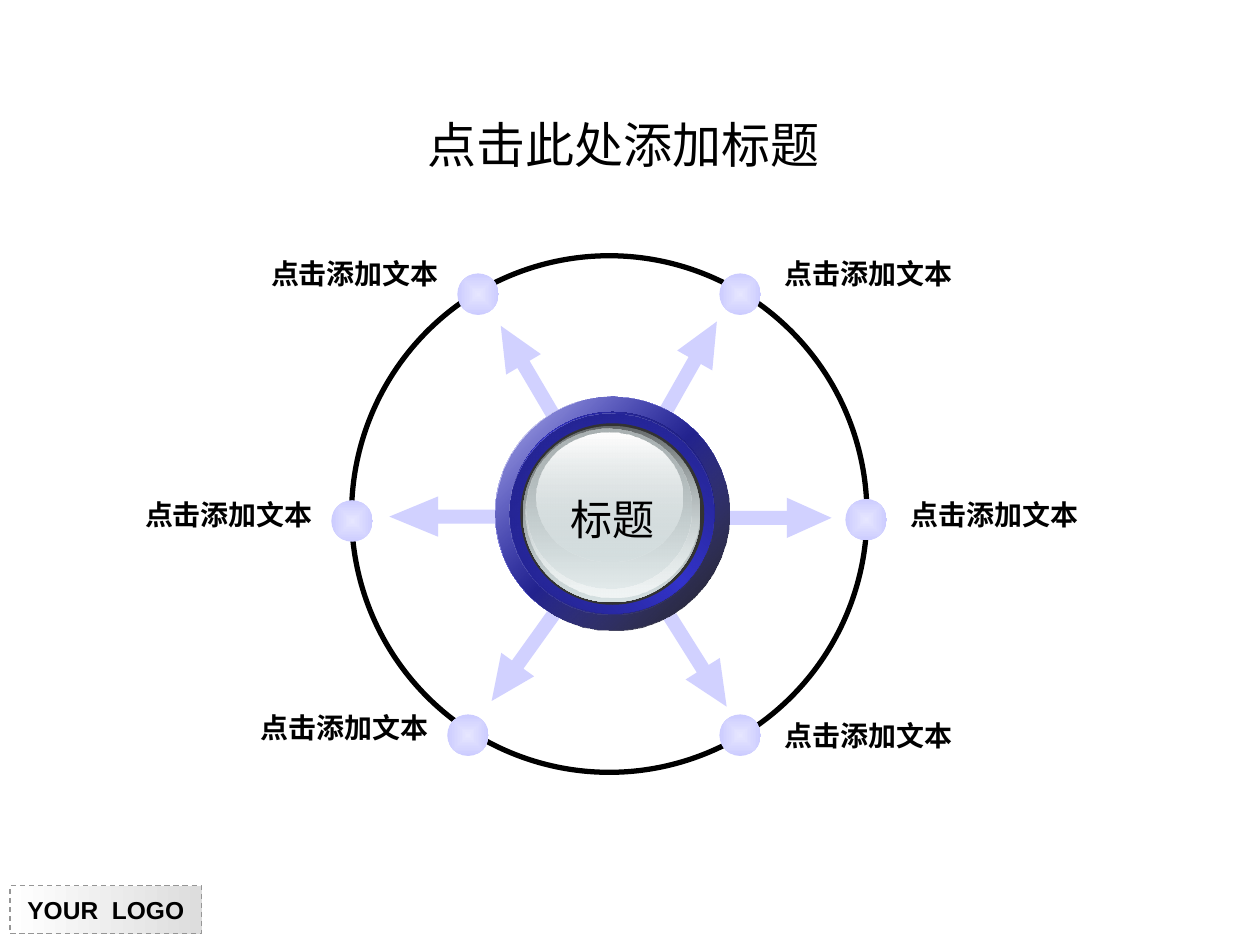
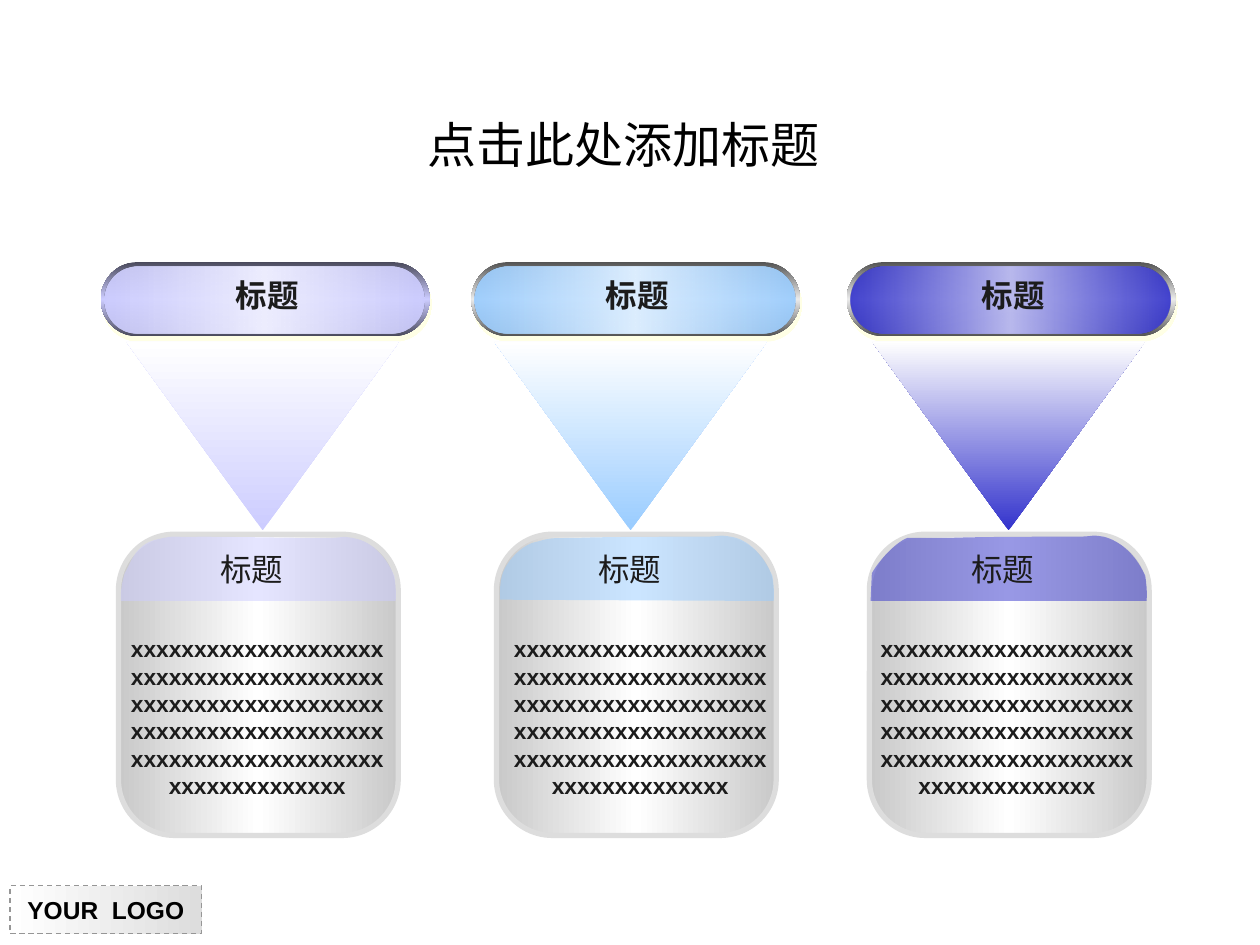
from lxml import etree
from pptx import Presentation
from pptx import util as u
from pptx.dml import color
from pptx.enum import dml, shapes, text
from pptx.oxml import ns

COLOURS = {
    "white": "FFFFFF", "black": "000000", "ink": "1C1C1C", "dash": "969696",
    "silver": "DDDDDD", "steel": "C9C9C9", "glow": "FFFFCC",
    "lilac": "CCCCFF", "lilac_dot": "E6E6FF", "lilac_light": "EEEEFF", "lilac_dark": "4A4A5C",
    "sky": "99CCFF", "sky_light": "DDEEFF",
    "blue": "3333CC", "blue_light": "BABAEE", "blue_deep": "202082", "navy": "1C1C6E",
    "rim_dark": "545454", "rim_light": "EAEAEA",
    "charcoal": "333333", "slate": "636869", "mist": "D6E1E2", "frost": "F1F5F5", "ash": "AAB2B3",
}
FONT = "Arial"
SHAPE = shapes.MSO_SHAPE
ALIGN = text.PP_ALIGN


def rgb(name):
    return color.RGBColor.from_string(COLOURS[name])


def node(parent, tag, **attributes):
    return etree.SubElement(parent, ns.qn(tag), {k: str(v) for k, v in attributes.items()})


def colour_node(parent, name, alpha=100):
    srgb = node(parent, "a:srgbClr", val=COLOURS[name])
    if alpha < 100:
        node(srgb, "a:alpha", val=alpha * 1000)


def write(frame, content, size=16, colour="black", bold=False, align=ALIGN.CENTER,
          anchor=text.MSO_ANCHOR.TOP, wrap=False, grow=True):
    frame.word_wrap = wrap
    frame.vertical_anchor = anchor
    if grow:
        frame.auto_size = text.MSO_AUTO_SIZE.SHAPE_TO_FIT_TEXT
    paragraph = frame.paragraphs[0]
    paragraph.alignment = align
    run = paragraph.add_run()
    run.text = content
    run.font.name, run.font.size, run.font.bold = FONT, u.Pt(size), bold
    run.font.color.rgb = rgb(colour)


class Deck:
    def __init__(self):
        self.presentation = Presentation()
        self.presentation.slide_width = u.Inches(10)
        self.presentation.slide_height = u.Inches(7.5)
        self.slide = None

    def new_slide(self, title):
        self.slide = self.presentation.slides.add_slide(self.presentation.slide_layouts[6])
        badge = self.shape(SHAPE.RECTANGLE, 0.08, 7.03, 1.52, 0.38, line=("dash", 0.75))
        self.gradient(badge, (0, "white"), (100, "silver"))
        badge.line.dash_style = dml.MSO_LINE.DASH
        write(badge.text_frame, "YOUR  LOGO", size=14, bold=True,
              anchor=text.MSO_ANCHOR.MIDDLE, grow=False)
        self.label(title, 2.41, 0.79, 5.08, 0.71, size=28,
                   anchor=text.MSO_ANCHOR.MIDDLE, wrap=True, grow=False)

    def label(self, content, left, top, width, height, **style):
        box = self.slide.shapes.add_textbox(*map(u.Inches, (left, top, width, height)))
        write(box.text_frame, content, **style)

    def shape(self, kind, left, top, width, height, fill=None, alpha=100, line=None,
              adjust=(), turn=0):
        item = self.slide.shapes.add_shape(kind, *map(u.Inches, (left, top, width, height)))
        for index, value in enumerate(adjust):
            item.adjustments[index] = value
        item.rotation = turn
        self.finish(item, fill, alpha, line)
        return item

    def finish(self, item, fill=None, alpha=100, line=None):
        item.shadow.inherit = False
        item.fill.background()
        if fill:
            self.replace_fill(item, "a:solidFill", lambda paint: colour_node(paint, fill, alpha))
        if line:
            item.line.color.rgb = rgb(line[0])
            item.line.width = u.Pt(line[1])
        else:
            item.line.fill.background()

    def replace_fill(self, item, tag, build):
        properties = item._element.spPr
        paint = etree.Element(ns.qn(tag))
        build(paint)
        properties.replace(properties.find(ns.qn("a:noFill")), paint)

    def gradient(self, item, *stops, angle=0, from_centre=False):
        """Each stop is (position, colour) or (position, colour, opacity)."""
        def build(paint):
            paint.set("rotWithShape", "1")
            stop_list = node(paint, "a:gsLst")
            for position, *tint in stops:
                colour_node(node(stop_list, "a:gs", pos=position * 1000), *tint)
            if from_centre:
                centre = node(paint, "a:path", path="rect")
                node(centre, "a:fillToRect", l=50000, t=50000, r=50000, b=50000)
            else:
                node(paint, "a:lin", ang=angle * 60000, scaled=0)
        self.replace_fill(item, "a:gradFill", build)

    def glow(self, item):
        effects = item._element.spPr.find(ns.qn("a:effectLst"))
        shadow = node(effects, "a:outerShdw", dist=u.Pt(3.2), dir=72 * 60000,
                      algn="ctr", rotWithShape=0)
        colour_node(shadow, "glow", 50)

    def outline(self, start, segments, fill, alpha):
        """Straight segments hold one point, curved ones three."""
        points = [(u.Inches(x), u.Inches(y)) for segment in segments for x, y in segment]
        builder = self.slide.shapes.build_freeform(*map(u.Inches, start))
        builder.add_line_segments(points, close=True)
        item = builder.convert_to_shape()
        steps = iter(list(item._element.spPr.iter(ns.qn("a:lnTo"))))
        for segment in segments:
            corners = [next(steps) for _ in segment]
            if len(corners) == 3:
                curve = etree.Element(ns.qn("a:cubicBezTo"))
                corners[0].addprevious(curve)
                for corner in corners:
                    curve.append(corner[0])
                    corner.getparent().remove(corner)
        self.finish(item, fill, alpha)


def hub_slide(deck):
    deck.new_slide("点击此处添加标题")

    # Arrows pointing out from the hub: left, top, length, turn, head ratio
    arrows = [(5.04, 2.77, 0.87, 299.6, 1.11), (5.1, 5.08, 0.87, 57.8, 1.11),
              (3.76, 2.8, 0.87, 239.5, 1.11), (3.72, 5.05, 0.87, 125.6, 1.11),
              (5.73, 3.95, 0.87, 0, 1.11), (3.09, 3.94, 0.94, 180, 1.21)]
    for left, top, length, turn, head in arrows:
        deck.shape(SHAPE.RIGHT_ARROW, left, top, length, 0.32, "lilac", 90,
                   adjust=(0.35, head), turn=turn)

    # Orbit with its labels and dots
    deck.shape(SHAPE.OVAL, 2.79, 2.03, 4.09, 4.1, line=("black", 3))
    right, left = ALIGN.RIGHT, ALIGN.LEFT
    stations = [(2.63, 3.97, 1.05, 3.9, right), (3.63, 2.17, 2.05, 1.99, right),
                (5.71, 2.17, 6.13, 1.99, left), (3.55, 5.67, 1.97, 5.59, right),
                (5.71, 5.67, 6.13, 5.65, left), (6.71, 3.96, 7.13, 3.9, left)]
    for dot_left, dot_top, label_left, label_top, align in stations:
        deck.label("点击添加文本", label_left, label_top, 1.53, 0.37, bold=True, align=align)
        dot = deck.shape(SHAPE.OVAL, dot_left, dot_top, 0.33, 0.33)
        deck.gradient(dot, (0, "lilac_dot"), (100, "lilac"), from_centre=True)

    # Hub button, from the outer ring to the glass highlight
    rings = [
        ((3.93, 3.15, 1.86, 1.85), 45, [(0, "white"), (50, "blue"), (100, "white")]),
        ((3.93, 3.15, 1.86, 1.85), 45, [(0, "blue", 32), (100, "black", 90)]),
        ((4.05, 3.27, 1.62, 1.6), 315, [(0, "navy"), (50, "blue"), (100, "navy")]),
        ((4.04, 3.28, 1.62, 1.6), 45, [(0, "blue_deep"), (100, "blue", 0)]),
        ((4.13, 3.36, 1.46, 1.44), 0, "charcoal"),
        ((4.15, 3.38, 1.41, 1.4), 90, [(0, "slate"), (100, "mist")]),
        ((4.17, 3.38, 1.38, 1.36), 90, [(0, "mist", 0), (100, "frost")]),
        ((4.18, 3.4, 1.31, 1.27), 90, [(0, "ash"), (100, "mist", 48)]),
        ((4.26, 3.43, 1.16, 1.03), 90, [(0, "white"), (100, "mist", 38)]),
    ]
    for place, angle, paint in rings:
        if isinstance(paint, str):
            deck.shape(SHAPE.OVAL, *place, fill=paint)
        else:
            deck.gradient(deck.shape(SHAPE.OVAL, *place), *paint, angle=angle)
    deck.label("标题", 4.41, 3.87, 0.9, 0.5, size=24)


def column(deck, pill, funnel, panel, body, tint, light, rim, tab):
    # Panel with its coloured tab and text
    card = deck.shape(SHAPE.ROUNDED_RECTANGLE, panel, 4.24, 2.22, 2.39,
                      line=("silver", 3), adjust=(0.2,))
    deck.gradient(card, (0, "steel"), (50, "white"), (100, "steel"))
    deck.outline(*tab, tint, 50)
    deck.label("标题", panel + 0.71, 4.32, 0.7, 0.4, size=18, colour="ink")
    deck.label("x" * 114, body, 4.99, 2.22, 1.4, size=13, colour="ink", bold=True, wrap=True)

    # Heading pill
    edge = deck.shape(SHAPE.ROUNDED_RECTANGLE, pill, 2.08, 2.61, 0.59, adjust=(0.5,))
    deck.gradient(edge, (0, rim[0]), (50, rim[1]), (100, rim[0]), angle=90)
    deck.glow(edge)
    face = deck.shape(SHAPE.ROUNDED_RECTANGLE, pill + 0.03, 2.12, 2.54, 0.53, adjust=(0.5,))
    deck.gradient(face, (0, tint, 90), (50, light), (100, tint, 90))
    deck.label("标题", pill + 0.97, 2.14, 0.7, 0.4, size=18, colour="ink", bold=True)

    # Funnel from the heading down to the panel
    cone = deck.shape(SHAPE.ISOSCELES_TRIANGLE, funnel, 2.71, 2.17, 1.5)
    cone._element.spPr.find(ns.qn("a:xfrm")).set("flipV", "1")
    deck.gradient(cone, (0, tint), (100, "white"), angle=90)


def columns_slide(deck):
    deck.new_slide("点击此处添加标题")
    grey_rim = ("rim_dark", "rim_light")

    lilac_tab = ((0.96, 4.77), [
        [(0.96, 4.77), (0.95, 4.68), (0.99, 4.55)], [(1.04, 4.47), (1.07, 4.32), (1.25, 4.28)],
        [(1.43, 4.24), (1.36, 4.27), (1.58, 4.26)], [(1.79, 4.26), (2.36, 4.27), (2.56, 4.27)],
        [(2.77, 4.27), (2.68, 4.25), (2.8, 4.27)], [(2.93, 4.29), (3.05, 4.39), (3.13, 4.57)],
        [(3.15, 4.7), (3.14, 4.77), (3.14, 4.77)]])
    sky_tab = ((3.97, 4.76), [
        [(3.97, 4.76), (3.96, 4.63), (3.99, 4.55)], [(4.02, 4.46), (4.14, 4.32), (4.26, 4.3)],
        [(4.37, 4.27), (4.35, 4.27), (4.57, 4.27)], [(4.79, 4.26), (5.35, 4.26), (5.56, 4.26)],
        [(5.76, 4.26), (5.67, 4.24), (5.8, 4.26)], [(5.93, 4.28), (6.05, 4.39), (6.13, 4.57)],
        [(6.15, 4.7), (6.14, 4.77), (6.14, 4.77)]])
    blue_tab = ((6.91, 4.77), [
        [(6.92, 4.55)], [(6.97, 4.46), (7.1, 4.31), (7.2, 4.27)], [(7.53, 4.27)],
        [(7.75, 4.26), (8.31, 4.26), (8.52, 4.26)], [(8.72, 4.26), (8.63, 4.24), (8.76, 4.26)],
        [(8.88, 4.29), (9.01, 4.39), (9.09, 4.57)], [(9.11, 4.7), (9.1, 4.77), (9.1, 4.77)]])

    column(deck, 0.8, 1, 0.94, 0.93, "lilac", "lilac_light", ("lilac_dark", "lilac"), lilac_tab)
    column(deck, 3.74, 3.92, 3.94, 3.97, "sky", "sky_light", grey_rim, sky_tab)
    column(deck, 6.72, 6.92, 6.9, 6.88, "blue", "blue_light", grey_rim, blue_tab)


def main():
    deck = Deck()
    hub_slide(deck)
    columns_slide(deck)
    deck.presentation.save("out.pptx")


if __name__ == "__main__":
    main()
